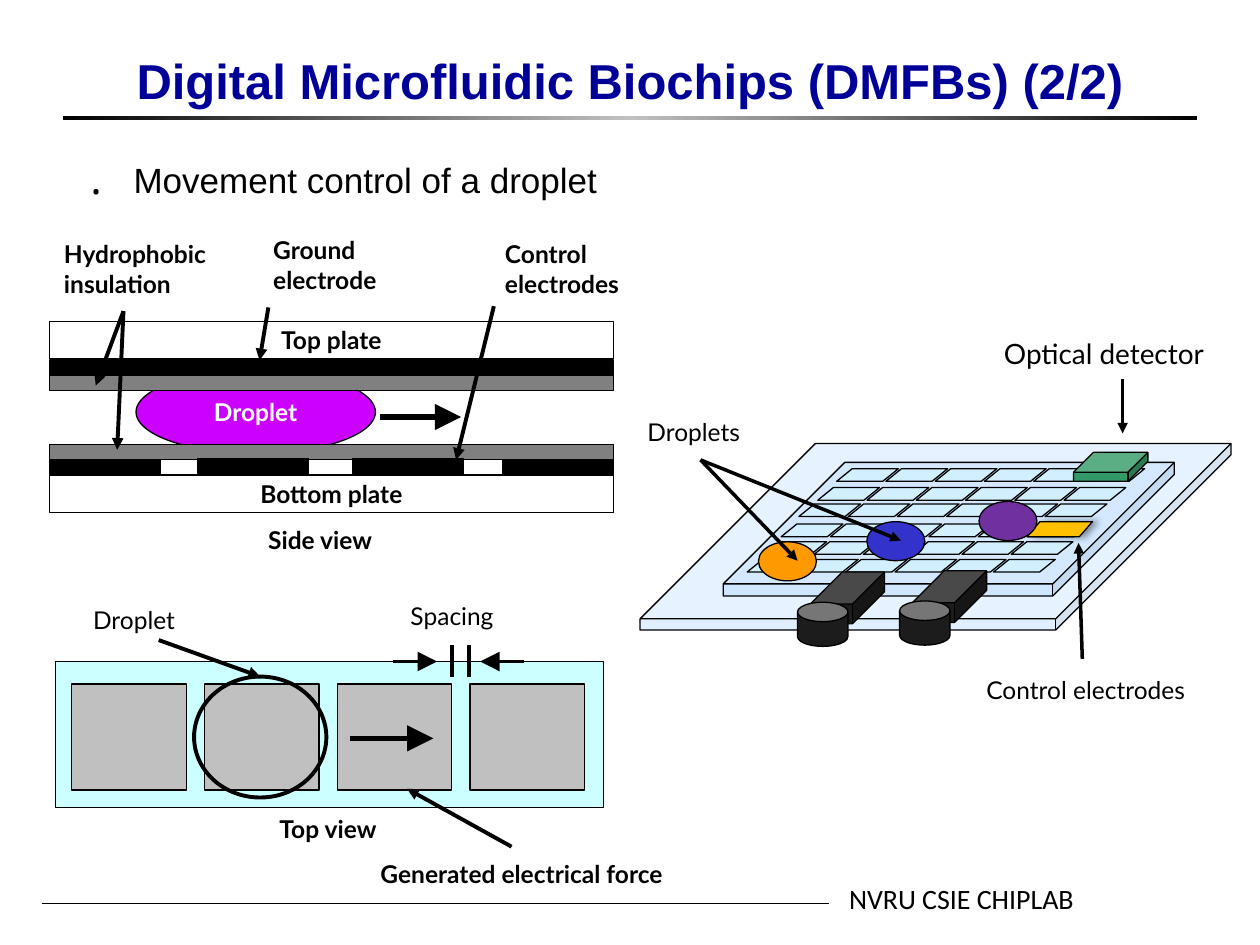
from copy import deepcopy
from dataclasses import dataclass
from itertools import product

from lxml import etree
from pptx import Presentation
from pptx.dml.color import RGBColor
from pptx.enum.shapes import MSO_CONNECTOR, MSO_SHAPE
from pptx.enum.text import MSO_ANCHOR, MSO_AUTO_SIZE, PP_ALIGN
from pptx.oxml.ns import qn
from pptx.util import Inches, Pt

RECT, OVAL, CUBE, CAN = MSO_SHAPE.RECTANGLE, MSO_SHAPE.OVAL, MSO_SHAPE.CUBE, MSO_SHAPE.CAN
CELL, PAD = MSO_SHAPE.PARALLELOGRAM, MSO_SHAPE.FLOWCHART_DATA
STRAIGHT = MSO_CONNECTOR.STRAIGHT
LEFT, CENTER = PP_ALIGN.LEFT, PP_ALIGN.CENTER
MIDDLE, BOTTOM = MSO_ANCHOR.MIDDLE, MSO_ANCHOR.BOTTOM
GROW, FIXED = MSO_AUTO_SIZE.SHAPE_TO_FIT_TEXT, MSO_AUTO_SIZE.NONE
COLUMNS, ROWS = 100, 75


def color(code):
    return RGBColor.from_string(code)


def add_xml(parent, tag, **attributes):
    return etree.SubElement(parent, qn(tag), {k: str(v) for k, v in attributes.items()})


@dataclass
class Board:
    """Slide with a 100 by 75 grid and the style of its elements."""

    slide: object
    width: int
    height: int
    ink: str = "000000"
    font: str = "Lato"
    size: float = 14

    def place(self, *box):
        units = (self.width / COLUMNS, self.height / ROWS) * 2
        return [round(length * unit) for length, unit in zip(box, units)]

    def add_text(self, frame, text, size=None, bold=False, font=None, ink=None, align=LEFT):
        paragraph = frame.paragraphs[0]
        paragraph.alignment = align
        for number, line in enumerate(text.split("\n")):
            if number:
                paragraph.add_line_break()
            run = paragraph.add_run()
            run.text = line
            run.font.size = Pt(size or self.size)
            run.font.name = font or self.font
            run.font.bold = bold
            run.font.color.rgb = color(ink or self.ink)
        return paragraph

    def holder(self, placeholder, box, text, anchor=None, **style):
        placeholder.left, placeholder.top, placeholder.width, placeholder.height = self.place(*box)
        frame = placeholder.text_frame
        frame.auto_size = FIXED
        if anchor is not None:
            frame.vertical_anchor = anchor
        return self.add_text(frame, text, **style)

    def bullet(self, paragraph, char, percent, indent):
        props = paragraph._p.get_or_add_pPr()
        props.set("marL", str(Inches(indent)))
        props.set("indent", str(-Inches(indent)))
        add_xml(add_xml(props, "a:buClr"), "a:srgbClr", val=self.ink)
        add_xml(props, "a:buSzPct", val=percent * 1000)
        add_xml(props, "a:buChar", char=char)

    def label(self, box, text, **style):
        frame = self.slide.shapes.add_textbox(*self.place(*box)).text_frame
        frame.word_wrap = True
        frame.auto_size = GROW
        self.add_text(frame, text, **style)

    def shape(self, kind, box, fill=None, alpha=None, adjust=None, line=0.75, text="", ink=None):
        shape = self.slide.shapes.add_shape(kind, *self.place(*box))
        shape.shadow.inherit = False
        if adjust is not None:
            shape.adjustments[0] = adjust
        if fill:
            shape.fill.solid()
            shape.fill.fore_color.rgb = color(fill)
        else:
            shape.fill.background()
        if alpha:
            add_xml(next(shape._element.spPr.iter(qn("a:srgbClr"))), "a:alpha", val=alpha * 1000)
        shape.line.color.rgb = color(self.ink)
        shape.line.width = Pt(line)
        if text:
            shape.text_frame.word_wrap = False
            shape.text_frame.vertical_anchor = MIDDLE
            self.add_text(shape.text_frame, text, bold=True, ink=ink, align=CENTER)
        return shape

    def rule(self, box, edge, middle):
        bar = self.shape(RECT, box)
        bar.line.fill.background()
        bar.fill.gradient()
        bar.fill.gradient_angle = 0
        for stop, position in zip(bar.fill.gradient_stops, (0, 1)):
            stop.color.rgb = color(edge)
            stop.position = position
        first = next(bar._element.spPr.iter(qn("a:gs")))
        center = deepcopy(first)
        first.addnext(center)
        center.set("pos", "50000")
        center.find(qn("a:srgbClr")).set("val", middle)

    def shadow(self, shape, blur, distance, alpha):
        effects = shape._element.spPr.find(qn("a:effectLst"))
        cast = add_xml(effects, "a:outerShdw", blurRad=Pt(blur), dist=Pt(distance), dir=0)
        add_xml(add_xml(cast, "a:srgbClr", val=self.ink), "a:alpha", val=alpha * 1000)

    def line(self, start, end, weight=2.25, head=None, target=None, site=0):
        link = self.slide.shapes.add_connector(STRAIGHT, *self.place(*start, *end))
        link.line.color.rgb = color(self.ink)
        link.line.width = Pt(weight)
        props = link._element.spPr
        if head:
            add_xml(props.find(qn("a:ln")), "a:tailEnd", type="triangle", w=head, len=head)
        add_xml(props, "a:effectLst")
        if target is not None:
            link.end_connect(target, site)


def draw_chip(board):
    board.shape(CUBE, (50.8, 35.2, 46.9, 14.8), "99CCFF", 30, 0.94)
    board.shape(CUBE, (57.4, 36.7, 35.8, 10.6), "99CCFF", 30, 0.91)
    row_starts = ((59.3, 44.4), (60.7, 43), (62, 41.6), (63.4, 40), (64.9, 38.7), (66.4, 37.2))
    for (left, top), column in product(row_starts, range(6)):
        board.shape(CELL, (left + 3.91 * column, top, 4.9, 1), "CCFFFF", 30, 1.24)


def draw_side_view(board):
    left, width, thin, plate = 3.9, 44.8, 1.2, 3
    board.label((20.3, 41.2, 15.7, 3.4), "Side view", bold=True)
    board.shape(OVAL, (10.8, 29.4, 19, 6.6), "CC00FF", text="Droplet", ink="FFFFFF")
    for top, name in ((37.7, "Bottom plate"), (25.5, "Top plate")):
        board.shape(RECT, (left, top, width, plate), text=name)
    for top, fill in ((28.6, "000000"), (29.8, "808080"), (35.3, "808080")):
        board.shape(RECT, (left, top, width, thin), fill)
    for electrode, top in ((3.9, 36.5), (15.7, 36.4), (28, 36.4), (39.9, 36.5)):
        board.shape(RECT, (electrode, top, 8.8, thin), "000000")
    board.label((20.7, 18.2, 12.6, 5.7), "Ground\nelectrode", bold=True)
    board.label((39.1, 18.5, 14.6, 5.7), "Control\nelectrodes", bold=True)
    board.label((4.1, 18.5, 18.7, 5.7), "Hydrophobic\ninsulation", bold=True)
    for start, end in (((21.3, 24.4), (20.6, 28.6)), ((39.2, 24.3), (36.2, 36.5)),
                       ((9.8, 24.7), (9.3, 35.7)), ((9.8, 24.7), (7.6, 30.6))):
        board.line(start, end, head="med")
    board.line((30.2, 33.1), (36.6, 33.1), 3, "lg")


def draw_top_view(board):
    board.label((21.2, 64.1, 15.7, 3.4), "Top view", bold=True)
    board.shape(RECT, (4.4, 52.5, 43.5, 11.6), "CCFFFF")
    for column in range(4):
        board.shape(RECT, (5.7 + 10.53 * column, 54.3, 9.1, 8.4), "C0C0C0")
    board.line((27.8, 58.6), (34.4, 58.6), 3, "lg")
    droplet = board.shape(OVAL, (15.4, 53.7, 10.5, 9.6), line=2.25)
    board.label((6.4, 47.5, 12.4, 3.4), "Droplet")
    board.line((12.6, 50.8), (20.7, 53.7), head="med", target=droplet)
    for edge in (35.9, 37.2):
        board.line((edge, 51.2), (edge, 53.7))
    board.label((31.6, 47.2, 14.7, 3.4), "Spacing")
    for start, end in ((41.6, 38.1), (31.2, 34.7)):
        board.line((start, 52.5), (end, 52.5), head="lg")
    board.label((19.5, 67.7, 43.8, 3.4), "Generated electrical force", bold=True, align=CENTER)
    board.line((40.6, 67.2), (32.3, 62.6), head="med")


def draw_chip_parts(board):
    board.label((50.4, 32.6, 12.5, 3.4), "Droplets")
    for left, top, fill in ((60.2, 43, "FF9900"), (68.8, 41.4, "3333CC")):
        board.shape(OVAL, (left, top, 4.6, 3.1), fill)
    for end in ((71.5, 42.9), (63.3, 44.5)):
        board.line((55.6, 36.5), end, 2, "med")
    board.label((77.3, 53.1, 18, 3.4), "Control electrodes")
    board.line((85.9, 52.3), (85.6, 43.1), 2, "med")
    electrode = board.shape(PAD, (81.5, 41.4, 5.2, 1.2), "FFC000")
    board.shadow(electrode, 4, 3, 40)
    board.shape(OVAL, (77.7, 39.8, 4.6, 3.1), "7030A0")
    for left, top in ((63.3, 45.4), (71.4, 45.3)):
        board.shape(CUBE, (left + 1, top, 5.9, 4.1), "1C1C1C", adjust=0.62)
        board.shape(CAN, (left, top + 2.4, 4, 3.5), "1C1C1C", adjust=0.44)
    board.shape(CUBE, (85.2, 35.9, 5.9, 2.3), "339966", adjust=0.69)
    board.label((78.7, 26.2, 22, 3.7), "Optical detector", size=16)
    board.line((89.1, 30.1), (89.1, 34.4), 2, "med")


def main():
    deck = Presentation()
    deck.slide_width, deck.slide_height = Inches(10), Inches(7.5)
    slide = deck.slides.add_slide(deck.slide_layouts[1])
    board = Board(slide, deck.slide_width, deck.slide_height)
    board.holder(slide.shapes.title, (7.5, 0, 85, 9.2), "Digital Microfluidic Biochips (DMFBs) (2/2)",
                 BOTTOM, size=28, bold=True, font="Arial", ink="000099", align=CENTER)
    topic = board.holder(slide.placeholders[1], (5.8, 12.1, 94.2, 53.6),
                         "Movement control of a droplet", size=20, font="Arial")
    board.bullet(topic, "․", 120, 0.38)
    board.rule((5, 9.2, 90, 0.3), "000000", "C0C0C0")
    board.line((3.3, 71.7), (65.8, 71.7), 0.5)
    board.label((66.4, 69.5, 21.9, 3.7), "NVRU CSIE CHIPLAB", size=16, font="Calibri")
    draw_chip(board)
    draw_side_view(board)
    draw_top_view(board)
    draw_chip_parts(board)
    deck.save("out.pptx")


if __name__ == "__main__":
    main()
